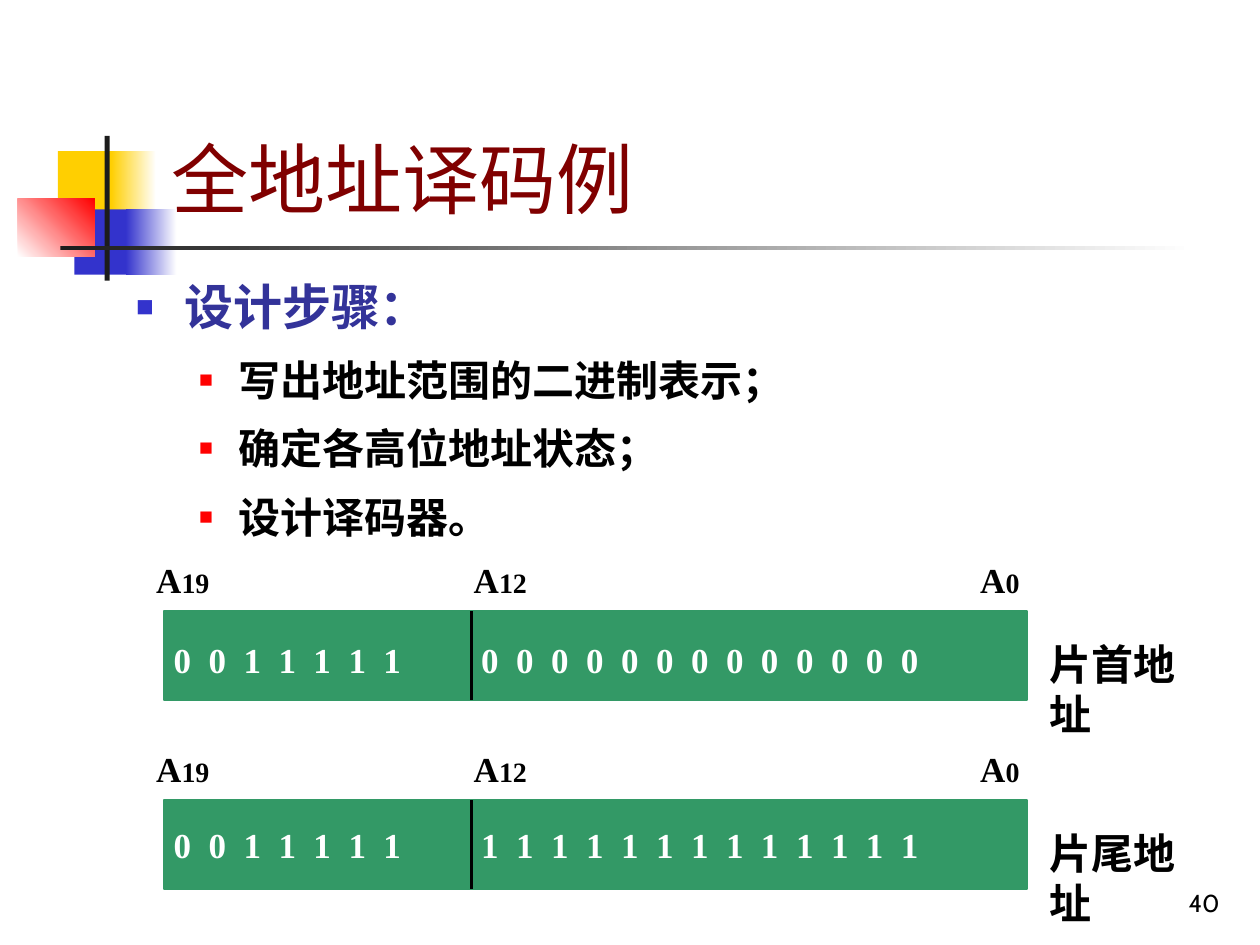
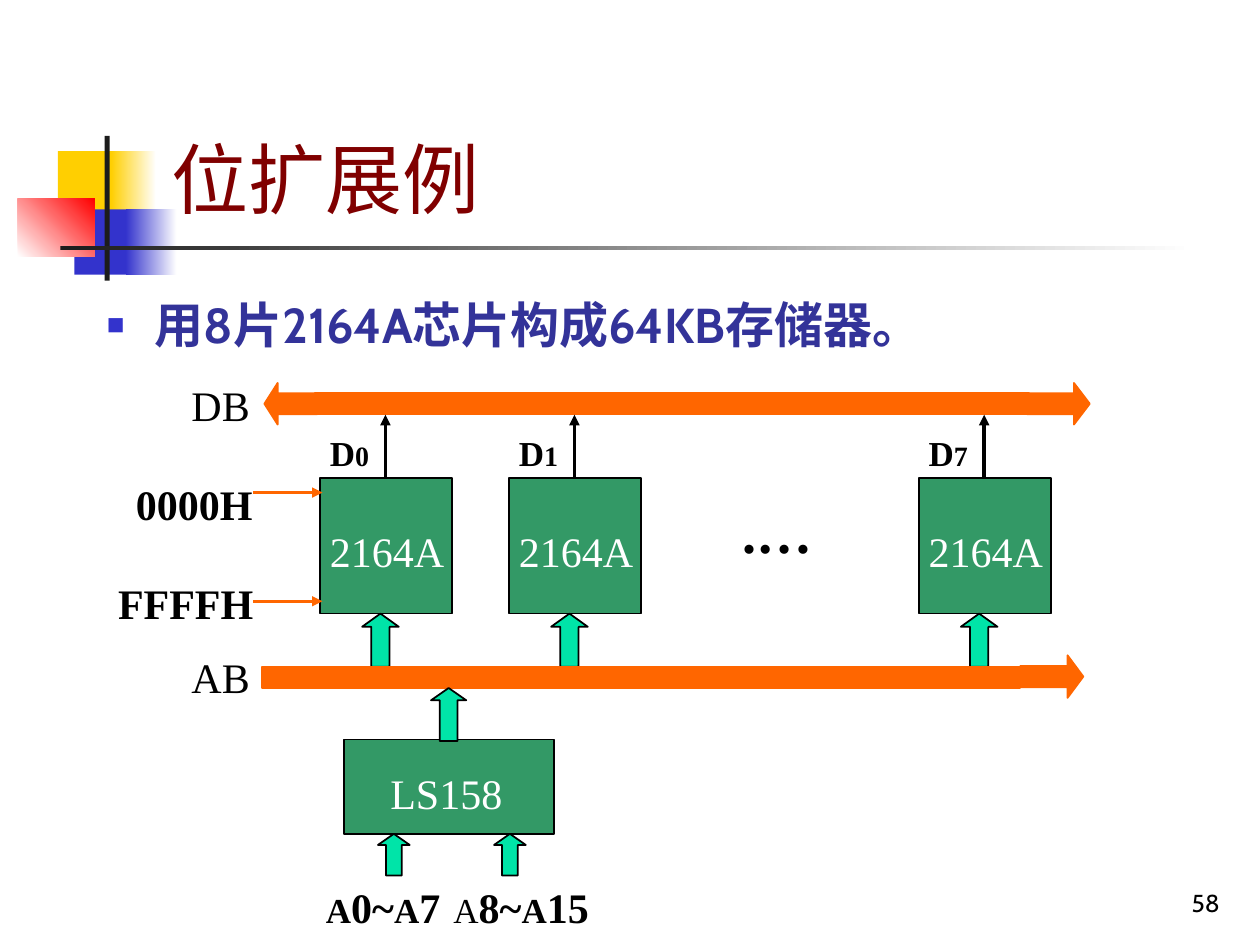
from dataclasses import dataclass

from lxml.etree import SubElement
from pptx import Presentation
from pptx.dml.color import RGBColor
from pptx.enum.shapes import MSO_CONNECTOR, MSO_SHAPE
from pptx.enum.text import MSO_ANCHOR, MSO_AUTO_SIZE, PP_ALIGN
from pptx.oxml.ns import qn
from pptx.util import Cm, Pt

RECTANGLE = MSO_SHAPE.RECTANGLE
RIGHT_ARROW = MSO_SHAPE.RIGHT_ARROW
LEFT_ARROW = MSO_SHAPE.LEFT_ARROW
UP_ARROW = MSO_SHAPE.UP_ARROW
STRAIGHT = MSO_CONNECTOR.STRAIGHT
BOTTOM = MSO_ANCHOR.BOTTOM
LEFT, RIGHT = PP_ALIGN.LEFT, PP_ALIGN.RIGHT
NO_AUTOFIT = MSO_AUTO_SIZE.NONE


@dataclass(frozen=True)
class Theme:
    title_font: str = "Cabin"
    diagram_font: str = "Times New Roman"
    black: RGBColor = RGBColor(0x00, 0x00, 0x00)
    white: RGBColor = RGBColor(0xFF, 0xFF, 0xFF)
    title: RGBColor = RGBColor(0x80, 0x00, 0x00)
    heading: RGBColor = RGBColor(0x33, 0x33, 0x99)
    yellow: RGBColor = RGBColor(0xFF, 0xCF, 0x01)
    blue: RGBColor = RGBColor(0x33, 0x33, 0xCC)
    red: RGBColor = RGBColor(0xFF, 0x00, 0x00)
    rule: RGBColor = RGBColor(0x1C, 0x1C, 0x1C)
    block: RGBColor = RGBColor(0x33, 0x99, 0x66)
    bus: RGBColor = RGBColor(0xFF, 0x66, 0x00)
    flow: RGBColor = RGBColor(0x00, 0xE4, 0xA8)
    title_size: int = 44
    heading_size: int = 28
    item_size: int = 24
    letter_size: int = 20
    index_size: int = 16
    page_size: int = 14
    dots_size: int = 32


theme = Theme()


def add_block(slide, kind, box, fill, line=None, head=None):
    """Add a filled preset shape; head is the length ratio of an arrow's head."""
    shape = slide.shapes.add_shape(kind, *map(Cm, box))
    shape.shadow.inherit = False
    shape.fill.solid()
    shape.fill.fore_color.rgb = fill
    if line is None:
        shape.line.fill.background()
    else:
        shape.line.color.rgb = line
        shape.line.width = Pt(1)
    if head is not None:
        shape.adjustments[1] = head
    return shape


def add_label(slide, box, runs, color=theme.black, bold=False, font=theme.diagram_font):
    """Add a text box of (text, size) runs and return its paragraph."""
    frame = slide.shapes.add_textbox(*map(Cm, box)).text_frame
    frame.word_wrap = True
    paragraph = frame.paragraphs[0]
    paragraph.font.name = font
    paragraph.font.color.rgb = color
    paragraph.font.bold = bold
    if len(runs) == 1:
        paragraph.font.size = Pt(runs[0][1])
    for text, size in runs:
        run = paragraph.add_run()
        run.text = text
        if len(runs) > 1:
            run.font.size = Pt(size)
    return paragraph


presentation = Presentation()
presentation.slide_width = Cm(25.4)
presentation.slide_height = Cm(19.05)

# Shared corner ornament: box, colour, gradient (start colour, end colour, angle)
ornaments = [
    ((1.17, 3.05, 1.22, 1.32), theme.yellow, None),
    ((2.24, 3.05, 0.91, 1.32), theme.yellow, (theme.yellow, theme.white, 0)),
    ((1.5, 4.22, 1.17, 1.32), theme.blue, None),
    ((2.54, 4.22, 1.02, 1.32), theme.blue, (theme.blue, theme.white, 0)),
    ((0.36, 4.01, 1.55, 1.17), theme.red, (theme.white, theme.red, 45)),
    ((2.11, 2.74, 0.1, 2.92), theme.rule, None),
    ((1.22, 4.95, 22.86, 0.1), theme.rule, (theme.rule, theme.white, 0)),
]

# Bullet styles by level: indent, hanging, bullet colour, bullet percent,
# text colour, size, space before, space after
levels = [
    (0.97, 0.97, theme.blue, 60, theme.heading, theme.heading_size, 7, 1.8),
    (2.06, 0.79, theme.red, 55, theme.black, theme.item_size, 6, 1.5),
]

contents = [
    ("全地址译码例", "40", (2.49, 5.33, 18.59, 5.72),
     [(0, "设计步骤："), (1, "写出地址范围的二进制表示；"),
      (1, "确定各高位地址状态；"), (1, "设计译码器。")]),
    ("位扩展例", "58", (1.9, 5.69, 21.59, 1.63),
     [(0, "用8片2164A芯片构成64KB存储器。")]),
]

for title_text, page_number, body_box, items in contents:
    slide = presentation.slides.add_slide(presentation.slide_layouts[1])
    for box, color, gradient in ornaments:
        shape = add_block(slide, RECTANGLE, box, color)
        if gradient:
            start, end, angle = gradient
            shape.fill.gradient()
            shape.fill.gradient_angle = angle
            for stop, stop_color in zip(shape.fill.gradient_stops, (start, end)):
                stop.color.rgb = stop_color

    title, body = slide.placeholders
    for placeholder, box in ((title, (3.2, 0.58, 21.64, 4.06)), (body, body_box)):
        placeholder.left, placeholder.top, placeholder.width, placeholder.height = map(Cm, box)
        placeholder.text_frame.word_wrap = True
        placeholder.text_frame.auto_size = NO_AUTOFIT

    title.text_frame.text = title_text
    title.text_frame.vertical_anchor = BOTTOM
    paragraph = title.text_frame.paragraphs[0]
    paragraph.alignment = LEFT
    paragraph.font.name = theme.title_font
    paragraph.font.size = Pt(theme.title_size)
    paragraph.font.color.rgb = theme.title

    body.text_frame.text = "\n".join(text for _, text in items)
    for position, (paragraph, (level, _)) in enumerate(zip(body.text_frame.paragraphs, items)):
        indent, hanging, bullet_color, percent, color, size, before, after = levels[level]
        paragraph.level = level
        properties = paragraph._p.get_or_add_pPr()
        properties.set("marL", str(Cm(indent)))
        properties.set("indent", str(-Cm(hanging)))
        bullet_fill = SubElement(properties, qn("a:buClr"))
        SubElement(bullet_fill, qn("a:srgbClr"), val=str(bullet_color))
        SubElement(properties, qn("a:buSzPct"), val=str(percent * 1000))
        SubElement(properties, qn("a:buChar"), char="■")
        paragraph.line_spacing = 1.1
        paragraph.space_before = Pt(before if position else 0)
        paragraph.space_after = Pt(after)
        paragraph.font.name = theme.title_font
        paragraph.font.size = Pt(size)
        paragraph.font.bold = True
        paragraph.font.color.rgb = color

    paragraph = add_label(slide, (19.56, 17.35, 5.28, 1.27),
                          [(page_number, theme.page_size)], font=theme.title_font)
    paragraph.alignment = RIGHT
    slide.shapes[-1].text_frame.vertical_anchor = BOTTOM

decoding_slide, expansion_slide = presentation.slides

# Lines: slide, start, end, colour, width, arrowhead
lines = []

# Address ranges: first and last address of the chip
high_bits = "0011111"
address_rows = [
    (12.32, 12.75, "0" * 13, "片首地址"),
    (16.13, 16.48, "1" * 13, "片尾地址"),
]
for top, digits_top, low_bits, caption in address_rows:
    add_block(decoding_slide, RECTANGLE, (3.3, top, 17.4, 1.8), theme.block, theme.block)
    lines.append((decoding_slide, (9.5, top), (9.5, top + 1.8), theme.black, 1.75, False))
    for left, index in ((2.9, "19"), (9.3, "12"), (19.51, "0")):
        add_label(decoding_slide, (left, top - 1.18, 2.01, 1.12),
                  [("A", theme.letter_size), (index, theme.index_size)], bold=True)
    for left, width, bits in ((3.25, 6.4, high_bits), (9.45, 11.4, low_bits)):
        paragraph = add_label(decoding_slide, (left, digits_top, width, 1.12),
                              [(" ".join(bits), theme.letter_size)], theme.white, True)
        paragraph.runs[0]._r.get_or_add_rPr().set("spc", "250")
    add_label(decoding_slide, (20.9, top + 0.42, 3.2, 2.29),
              [(caption, theme.item_size)], bold=True)

# Memory chips between the data bus and the address bus
chip_top, chip_height = 9.63, 2.74
for left, index in ((6.45, "0"), (10.26, "1"), (18.52, "7")):
    add_block(expansion_slide, RECTANGLE, (left, chip_top, 2.67, chip_height),
              theme.block, theme.black)
    add_block(expansion_slide, UP_ARROW, (left + 0.85, chip_top + chip_height, 0.74, 1.07),
              theme.flow, theme.black, 0.36)
    add_label(expansion_slide, (left - 0.05, 10.46, 3.18, 1.27),
              [("2164A", theme.item_size)], theme.white)
    add_label(expansion_slide, (left - 0.05, 8.57, 1.47, 1.12),
              [("D", theme.letter_size), (index, theme.index_size)], bold=True)
    data_x = left + 1.32
    lines.append((expansion_slide, (data_x, chip_top), (data_x, 8.36), theme.black, 2, True))

bus_parts = [
    (RECTANGLE, (6.35, 7.92, 14.4, 0.43), None),
    (RIGHT_ARROW, (20.7, 7.72, 1.27, 0.84), 0.38),
    (LEFT_ARROW, (5.33, 7.72, 1.07, 0.84), 0.32),
    (RECTANGLE, (5.28, 13.44, 15.29, 0.43), None),
    (RIGHT_ARROW, (20.57, 13.21, 1.27, 0.86), 0.37),
]
for kind, box, head in bus_parts:
    add_block(expansion_slide, kind, box, theme.bus, theme.bus, head)

# Address multiplexer with its two inputs and one output
add_block(expansion_slide, RECTANGLE, (6.93, 14.91, 4.24, 1.91), theme.block, theme.black)
for box in ((7.62, 16.81, 0.64, 0.84), (9.96, 16.81, 0.64, 0.84), (8.69, 13.87, 0.71, 1.07)):
    add_block(expansion_slide, UP_ARROW, box, theme.flow, theme.black, 0.35)
add_label(expansion_slide, (7.62, 15.34, 3.39, 1.27), [("LS158", theme.item_size)], theme.white)

for left, width, first, last in ((6.32, 3.18, "0~", "7"), (8.89, 3.81, "8~", "15")):
    paragraph = add_label(expansion_slide, (left, 17.65, width, 1.27),
                          [("A", theme.letter_size), (first, theme.item_size),
                           ("A", theme.letter_size), (last, theme.item_size)], bold=True)
paragraph.runs[0].font.bold = False

side_labels = [
    ("DB", (3.61, 7.52, 2.11, 1.27), theme.item_size, False),
    ("AB", (3.61, 13, 2.11, 1.27), theme.item_size, False),
    ("0000H", (2.49, 9.53, 3, 1.27), theme.item_size, True),
    ("FFFFH", (2.13, 11.51, 3.35, 1.27), theme.item_size, True),
    (".…", (14.71, 9.91, 2.39, 1.63), theme.dots_size, True),
]
for text, box, size, bold in side_labels:
    add_label(expansion_slide, box, [(text, size)], bold=bold)

for y in (9.93, 12.12):
    lines.append((expansion_slide, (5.11, y), (6.5, y), theme.bus, 1.75, True))

for slide, start, end, color, width, has_arrowhead in lines:
    connector = slide.shapes.add_connector(STRAIGHT, *map(Cm, start + end))
    connector.line.color.rgb = color
    connector.line.width = Pt(width)
    properties = connector._element.spPr
    if has_arrowhead:
        SubElement(properties.find(qn("a:ln")), qn("a:tailEnd"), type="triangle")
    SubElement(properties, qn("a:effectLst"))

presentation.save("out.pptx")
